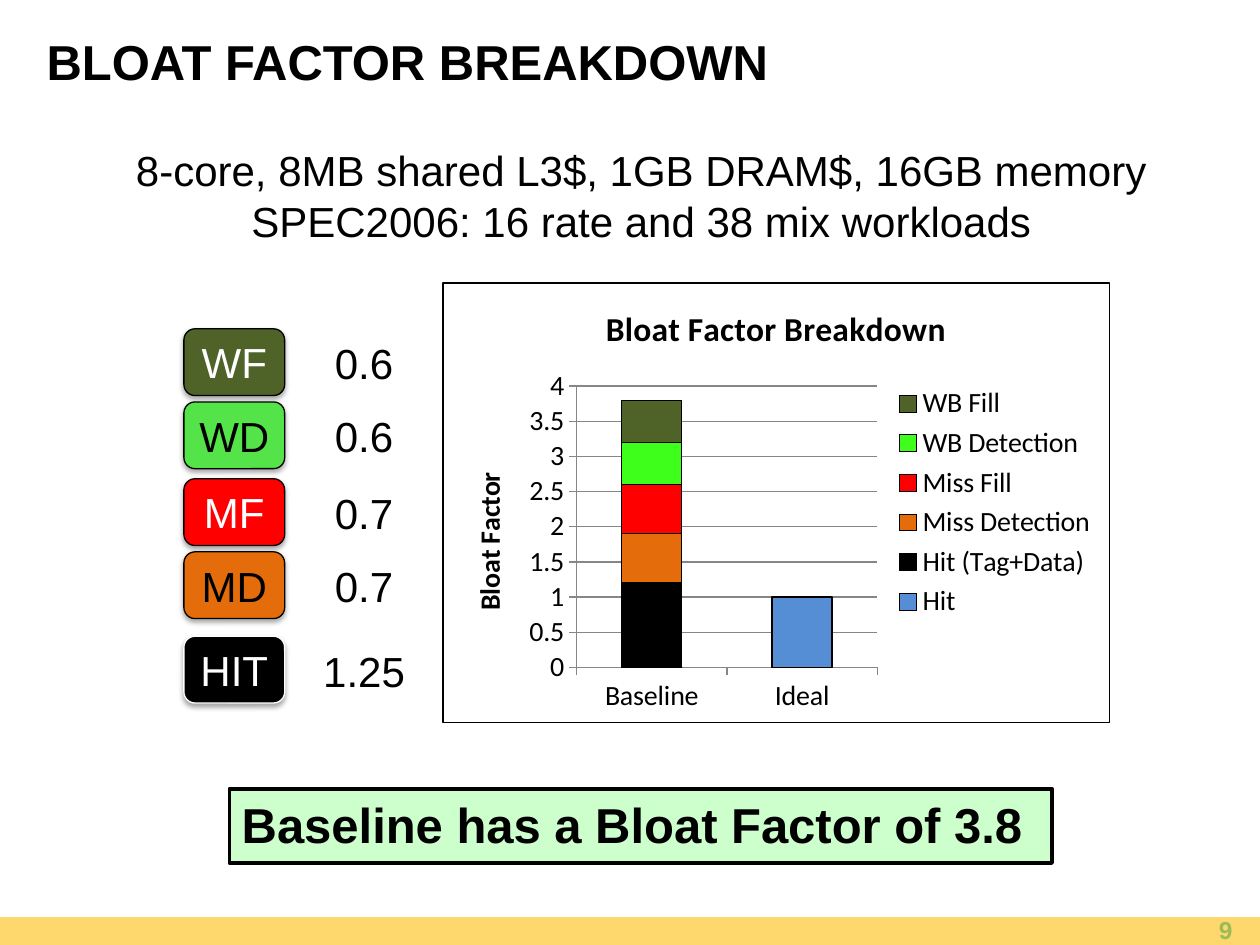
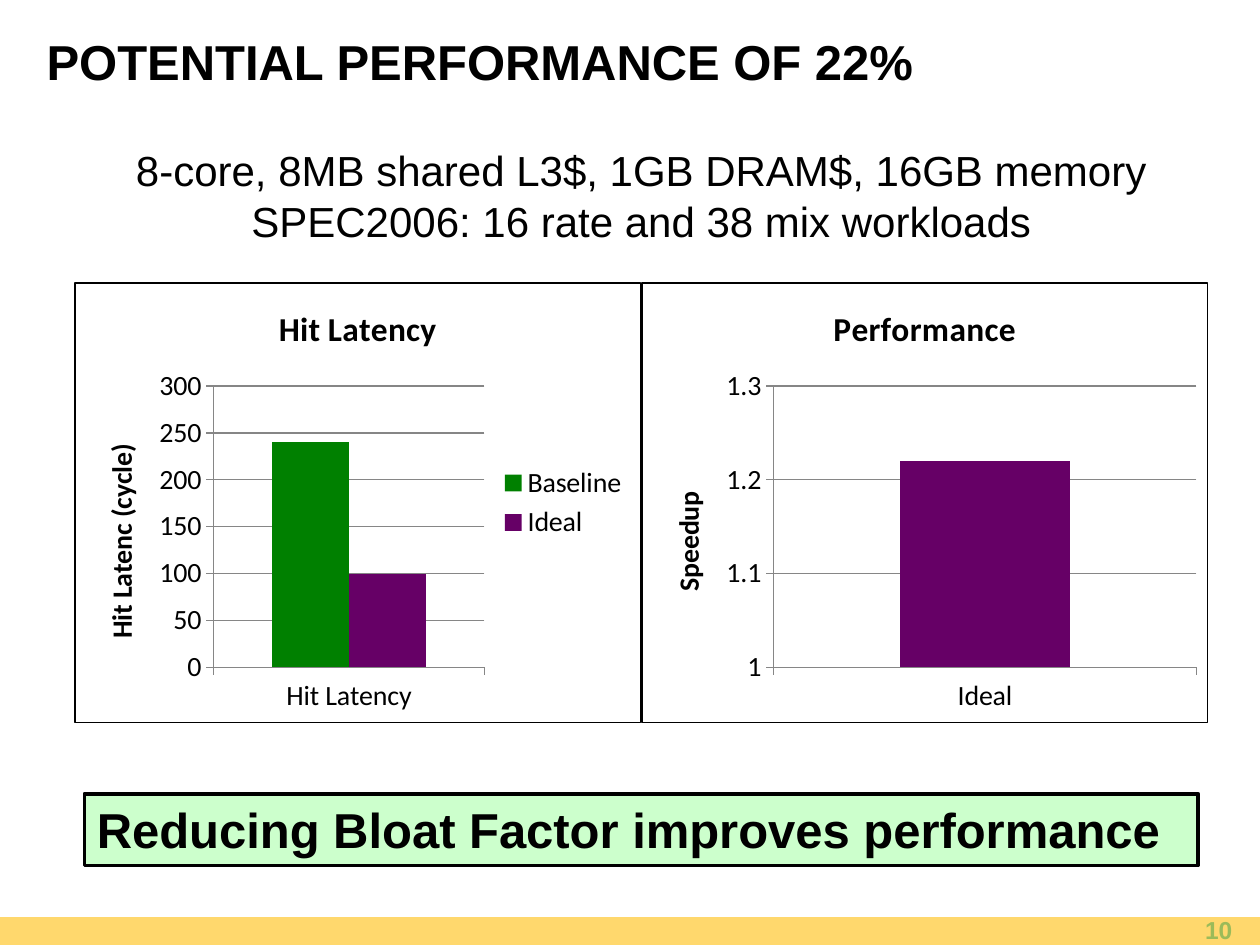
import lxml.etree
import pptx
import pptx.chart.data
import pptx.dml.color
import pptx.enum.chart
import pptx.enum.shapes
import pptx.enum.text
import pptx.oxml.ns
import pptx.util

ALIGN = pptx.enum.text.PP_ALIGN
ANCHOR = pptx.enum.text.MSO_ANCHOR
FIT = pptx.enum.text.MSO_AUTO_SIZE
SHAPE = pptx.enum.shapes.MSO_SHAPE
CHART = pptx.enum.chart.XL_CHART_TYPE

# Palette shared by the slides
BLACK, WHITE, GRID_GRAY = "000000", "FFFFFF", "868686"
BAND, PAGE_NUMBER, CALLOUT = "FFD86D", "9BBB59", "CCFFCC"
OLIVE, RED, ORANGE, PURPLE = "4F6228", "FF0000", "E46C0A", "660066"

# The grid has 100 columns and 75 rows
COLUMNS, ROWS = 100, 75
CHART_TOP, CHART_HEIGHT = 22.4, 35
SETUP = ["8-core, 8MB shared L3$, 1GB DRAM$, 16GB memory",
         "SPEC2006: 16 rate and 38 mix workloads"]


def color(hex_string):
    return pptx.dml.color.RGBColor.from_string(hex_string)


def apply(target, values):
    for name, value in values.items():
        setattr(target, name, value)


def add_xml(parent, tag, **attributes):
    return lxml.etree.SubElement(parent, pptx.oxml.ns.qn(tag), attributes)


class Deck:
    """Holds the style and the current slide."""

    def __init__(self):
        self.presentation = pptx.Presentation()
        apply(self.presentation, {"slide_width": pptx.util.Inches(10),
                                  "slide_height": pptx.util.Inches(7.5)})
        self.column = self.presentation.slide_width / COLUMNS
        self.row = self.presentation.slide_height / ROWS
        self.slide = None

    def place(self, left, top, width, height):
        return [round(left * self.column), round(top * self.row),
                round(width * self.column), round(height * self.row)]

    def font(self, font, size, hex_string=BLACK, bold=False, name="Arial"):
        apply(font, {"size": pptx.util.Pt(size), "bold": bold, "name": name})
        font.color.rgb = color(hex_string)

    def line(self, line, hex_string=BLACK, width=0.75):
        line.color.rgb = color(hex_string)
        line.width = pptx.util.Pt(width)

    def set_text(self, shape, lines, size, hex_string=BLACK, bold=False,
                 align=ALIGN.LEFT, **frame_values):
        frame = shape.text_frame
        frame.text = "\n".join(lines)
        apply(frame, {"word_wrap": True, "auto_size": FIT.NONE,
                      "vertical_anchor": ANCHOR.MIDDLE, **frame_values})
        for paragraph in frame.paragraphs:
            paragraph.alignment = align
            self.font(paragraph.font, size, hex_string, bold)

    def new_slide(self, title, number):
        layout = self.presentation.slide_layouts.get_by_name("Title Only")
        self.slide = self.presentation.slides.add_slide(layout)
        self.box([0, 72.8, COLUMNS, 2.3], BAND)
        heading = self.slide.shapes.title
        names = ("left", "top", "width", "height")
        apply(heading, dict(zip(names, self.place(2.7, 2.2, 91.7, 5.3))))
        self.set_text(heading, [title], 28, bold=True)
        self.text([75.5, 72.5, 23.3, 2.6], [str(number)], 14,
                  hex_string=PAGE_NUMBER, bold=True, align=ALIGN.RIGHT)
        self.text([9.4, 11, 83, 9.1], SETUP, 24, align=ALIGN.CENTER,
                  word_wrap=False, vertical_anchor=ANCHOR.TOP)

    def text(self, area, lines, size, **values):
        shape = self.slide.shapes.add_textbox(*self.place(*area))
        self.set_text(shape, lines, size, **values)

    def box(self, area, fill, line=None, line_width=0.75, kind=SHAPE.RECTANGLE):
        shape = self.slide.shapes.add_shape(kind, *self.place(*area))
        shape.shadow.inherit = False
        shape.fill.solid()
        shape.fill.fore_color.rgb = color(fill)
        if line:
            self.line(shape.line, line, line_width)
        else:
            shape.line.fill.background()
        return shape

    def callout(self, area, message):
        shape = self.box(area, CALLOUT, BLACK, 2)
        self.set_text(shape, [message], 28, bold=True,
                      vertical_anchor=ANCHOR.TOP)

    def badge(self, top, label, fill, ink, line):
        shape = self.box([14.6, top, 8, 5.3], fill, line,
                         kind=SHAPE.ROUNDED_RECTANGLE)
        self.set_text(shape, [label], 24, ink, align=ALIGN.CENTER,
                      word_wrap=False)
        # Soft shadow straight below
        effects = shape.element.spPr.find(pptx.oxml.ns.qn("a:effectLst"))
        shadow = add_xml(effects, "a:outerShdw",
                         blurRad=str(pptx.util.Pt(3.1)),
                         dist=str(pptx.util.Pt(1.8)),
                         dir="5400000", rotWithShape="0")
        add_xml(add_xml(shadow, "a:srgbClr", val=BLACK), "a:alpha", val="35000")

    def caption(self, holder, text, size):
        holder.text_frame.text = text
        self.font(holder.text_frame.paragraphs[0].font, size, bold=True,
                  name="Calibri")

    def chart_border(self, chart):
        properties = lxml.etree.Element(pptx.oxml.ns.qn("c:spPr"))
        chart.element.find(pptx.oxml.ns.qn("c:chart")).addnext(properties)
        outline = add_xml(properties, "a:ln", w=str(pptx.util.Pt(0.75)))
        add_xml(add_xml(outline, "a:solidFill"), "a:srgbClr", val=BLACK)

    def chart(self, left, width, kind, title, axis_title, categories, series,
              scale=None, legend=True, outlined=False):
        data = pptx.chart.data.CategoryChartData()
        data.categories = categories
        for name, values, _ in series:
            data.add_series(name, values)
        area = self.place(left, CHART_TOP, width, CHART_HEIGHT)
        chart = self.slide.shapes.add_chart(kind, *area, data).chart
        self.font(chart.font, 16, name="Calibri")
        self.chart_border(chart)
        apply(chart, {"has_title": True, "has_legend": legend})
        self.caption(chart.chart_title, title, 19.2)
        if legend:
            apply(chart.legend, {
                "position": pptx.enum.chart.XL_LEGEND_POSITION.RIGHT,
                "include_in_layout": False})

        # Axes
        for axis in (chart.category_axis, chart.value_axis):
            axis.major_tick_mark = pptx.enum.chart.XL_TICK_MARK.OUTSIDE
            self.line(axis.format.line, GRID_GRAY)
        apply(chart.value_axis, {"has_major_gridlines": True, **(scale or {})})
        self.line(chart.value_axis.major_gridlines.format.line, GRID_GRAY)
        self.caption(chart.value_axis.axis_title, axis_title, 16)

        # Columns
        plot = chart.plots[0]
        apply(plot, {"gap_width": 150, "vary_by_categories": False,
                     "overlap": 100 if kind == CHART.COLUMN_STACKED else 0})
        for column, (_, _, fill) in zip(plot.series, series):
            column.format.fill.solid()
            column.format.fill.fore_color.rgb = color(fill)
            if outlined:
                self.line(column.format.line)


def breakdown_slide(deck):
    deck.new_slide("BLOAT FACTOR BREAKDOWN", 9)
    deck.chart(35.1, 53, CHART.COLUMN_STACKED, "Bloat Factor Breakdown",
               "Bloat Factor", ["Baseline", "Ideal"],
               [("Hit", [0, 1], "558ED5"),
                ("Hit (Tag+Data)", [1.2, 0], BLACK),
                ("Miss Detection", [0.7, 0], ORANGE),
                ("Miss Fill", [0.7, 0], RED),
                ("WB Detection", [0.6, 0], "3EFF1B"),
                ("WB Fill", [0.6, 0], OLIVE)],
               scale={"maximum_scale": 4}, outlined=True)
    # Badges with their share of the factor
    for top, label, fill, ink, line, value in [
            (26.1, "WF", OLIVE, WHITE, BLACK, "0.6"),
            (31.9, "WD", "54E44A", BLACK, BLACK, "0.6"),
            (38, "MF", RED, WHITE, BLACK, "0.7"),
            (43.8, "MD", ORANGE, BLACK, BLACK, "0.7"),
            (50.5, "HIT", BLACK, WHITE, WHITE, "1.25")]:
        deck.badge(top, label, fill, ink, line)
        deck.text([24.6, top + 0.2, 8.6, 5], [value], 24, align=ALIGN.CENTER,
                  word_wrap=False)
    deck.callout([18.2, 62.6, 65.3, 5.9], "Baseline has a Bloat Factor of 3.8")


def performance_slide(deck):
    deck.new_slide("POTENTIAL PERFORMANCE OF 22%", 10)
    left, width = 5.9, 45
    deck.chart(left, width, CHART.COLUMN_CLUSTERED, "Hit Latency",
               "Hit Latenc (cycle)", ["Hit Latency"],
               [("Baseline", [240], "008000"), ("Ideal", [100], PURPLE)])
    deck.chart(left + width, width, CHART.COLUMN_CLUSTERED, "Performance",
               "Speedup", ["Ideal"], [("Performance", [1.22], PURPLE)],
               scale={"minimum_scale": 1, "maximum_scale": 1.3,
                      "major_unit": 0.1},
               legend=False)
    deck.callout([6.7, 63, 88.4, 5.7],
                 "Reducing Bloat Factor improves performance")


def main():
    deck = Deck()
    breakdown_slide(deck)
    performance_slide(deck)
    deck.presentation.save("out.pptx")


if __name__ == "__main__":
    main()
